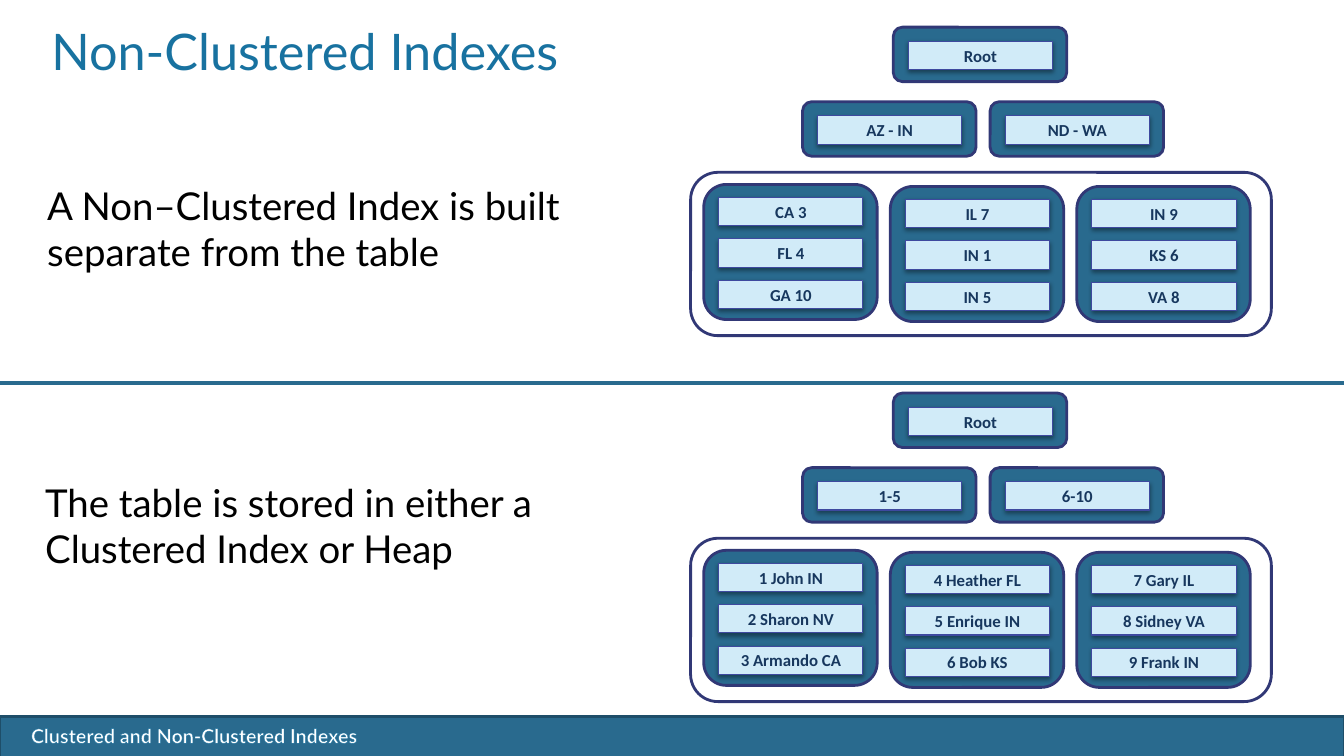
from dataclasses import dataclass

from lxml import etree
from pptx import Presentation
from pptx import util as u
from pptx.dml.color import RGBColor
from pptx.enum import shapes, text
from pptx.oxml import ns

Inches, Pt = u.Inches, u.Pt
RECT = shapes.MSO_SHAPE.RECTANGLE
ROUND = shapes.MSO_SHAPE.ROUNDED_RECTANGLE


@dataclass(frozen=True)
class Theme:
    # Colours
    white: str = "FFFFFF"
    black: str = "000000"
    teal: str = "296A8E"
    edge: str = "1E4E69"
    title: str = "1872A0"
    navy: str = "313876"
    pale: str = "D1EBF8"
    rim: str = "3E499F"
    ink: str = "17375E"
    # Fonts and type sizes
    main: str = "Lato"
    label: str = "Calibri"
    head_size: float = 36
    body_size: float = 27.4
    foot_size: float = 14
    cell_size: float = 12


def add_xml(parent, tag, **attrs):
    return etree.SubElement(parent, ns.qn(tag), attrs)


class Deck:
    def __init__(self, theme):
        self.theme = theme
        self.prs = Presentation()
        self.prs.slide_width, self.prs.slide_height = Inches(13.33), Inches(7.5)
        self.slide = self.prs.slides.add_slide(self.prs.slide_layouts[5])
        self.shapes = self.slide.shapes

    def add_run(self, frame, words, size, color, font, bold=False):
        run = frame.paragraphs[0].add_run()
        run.text = words
        run.font.name, run.font.size, run.font.bold = font, Pt(size), bold
        run.font.color.rgb = RGBColor.from_string(color)
        return run

    def title(self, words, x, y, w, h):
        box = self.shapes.title
        box.left, box.top, box.width, box.height = map(Inches, (x, y, w, h))
        frame = box.text_frame
        frame.auto_size = text.MSO_AUTO_SIZE.NONE
        frame.vertical_anchor = text.MSO_ANCHOR.TOP
        frame.paragraphs[0].alignment = text.PP_ALIGN.LEFT
        frame.paragraphs[0].line_spacing = Pt(35)
        self.add_run(frame, words, self.theme.head_size, self.theme.title, self.theme.main)

    def note(self, words, x, y, w, h, size, color, bold=False):
        frame = self.shapes.add_textbox(*map(Inches, (x, y, w, h))).text_frame
        frame.word_wrap = True
        return self.add_run(frame, words, size, color, self.theme.main, bold)

    def box(self, kind, x, y, w, h, fill, line, width=2):
        shape = self.shapes.add_shape(kind, *map(Inches, (x, y, w, h)))
        shape.shadow.inherit = False
        shape.fill.solid()
        shape.fill.fore_color.rgb = RGBColor.from_string(fill)
        shape.line.color.rgb = RGBColor.from_string(line)
        shape.line.width = Pt(width)
        return shape

    def cell(self, words, x, y):
        t = self.theme
        shape = self.box(RECT, x, y, 1.43, 0.28, t.pale, t.rim, 0.75)
        # Soft shadow below the cell
        effects = shape._element.spPr.find(ns.qn("a:effectLst"))
        shade = add_xml(effects, "a:outerShdw", blurRad=str(Pt(3.1)), dist=str(Pt(1.6)),
                        dir="5400000", rotWithShape="0")
        add_xml(add_xml(shade, "a:srgbClr", val=t.black), "a:alpha", val="38000")
        frame = shape.text_frame
        frame.margin_left = frame.margin_right = Inches(0.07)
        frame.margin_top = frame.margin_bottom = Inches(0.04)
        frame.vertical_anchor = text.MSO_ANCHOR.MIDDLE
        frame.paragraphs[0].alignment = text.PP_ALIGN.CENTER
        self.add_run(frame, words, t.cell_size, t.ink, t.label, True)

    def node(self, rows, x, y):
        """A rounded block holding one cell per row."""
        t = self.theme
        height, pad = (0.54, 0.14) if len(rows) == 1 else (1.34, 0.13)
        self.box(ROUND, x, y, 1.72, height, t.teal, t.navy)
        for i, words in enumerate(rows):
            self.cell(words, x + 0.15, y + pad + 0.41 * i)

    def tree(self, y, mids, leaves):
        """Root, two middle nodes and a framed row of leaves."""
        self.box(ROUND, 6.85, y + 1.44, 5.76, 1.62, self.theme.white, self.theme.navy)
        for i, rows in enumerate(leaves):
            self.node(rows, 6.98 + 1.85 * i, y + (1.58 if i else 1.56))
        for i, words in enumerate(mids):
            self.node([words], 7.96 + 1.86 * i, y + 0.74)
        self.node(["Root"], 8.86, y)

    def rule(self, y):
        line = self.shapes.add_connector(
            shapes.MSO_CONNECTOR.STRAIGHT, 0, Inches(y), Inches(13.33), Inches(y))
        line.line.color.rgb = RGBColor.from_string(self.theme.teal)
        line.line.width = Pt(3)
        add_xml(line._element.spPr, "a:effectLst")

    def footer(self, words):
        t = self.theme
        self.box(RECT, 0, 7.11, 13.33, 0.4, t.teal, t.edge)
        run = self.note(words, 0.21, 7.13, 6.06, 0.34, t.foot_size, t.white, True)
        # Thin outline around the letters
        props = run._r.get_or_add_rPr()
        edge = etree.Element(ns.qn("a:ln"), w=str(Pt(0.8)))
        add_xml(add_xml(edge, "a:solidFill"), "a:srgbClr", val=t.title)
        props.insert(0, edge)


def main():
    theme = Theme()
    deck = Deck(theme)

    # Footer, title and divider
    deck.footer("Clustered and Non-Clustered Indexes")
    deck.title("Non-Clustered Indexes", 0.41, 0.26, 12, 1.25)
    deck.rule(3.8)

    # Statements on the left
    for words, x, y in (
        ("A Non–Clustered Index is built separate from the table", 0.37, 1.76),
        ("The table is stored in either a Clustered Index or Heap", 0.35, 4.7),
    ):
        deck.note(words, x, y, 6.41, 1.02, theme.body_size, theme.black)

    # Index tree above, table tree below
    deck.tree(0.27, ["AZ - IN", "ND - WA"], [
        ["CA 3", "FL 4", "GA 10"],
        ["IL 7", "IN 1", "IN 5"],
        ["IN 9", "KS 6", "VA 8"],
    ])
    deck.tree(3.9, ["1-5", "6-10"], [
        ["1 John IN", "2 Sharon NV", "3 Armando CA"],
        ["4 Heather FL", "5 Enrique IN", "6 Bob KS"],
        ["7 Gary IL", "8 Sidney VA", "9 Frank IN"],
    ])

    deck.prs.save("out.pptx")


if __name__ == "__main__":
    main()
